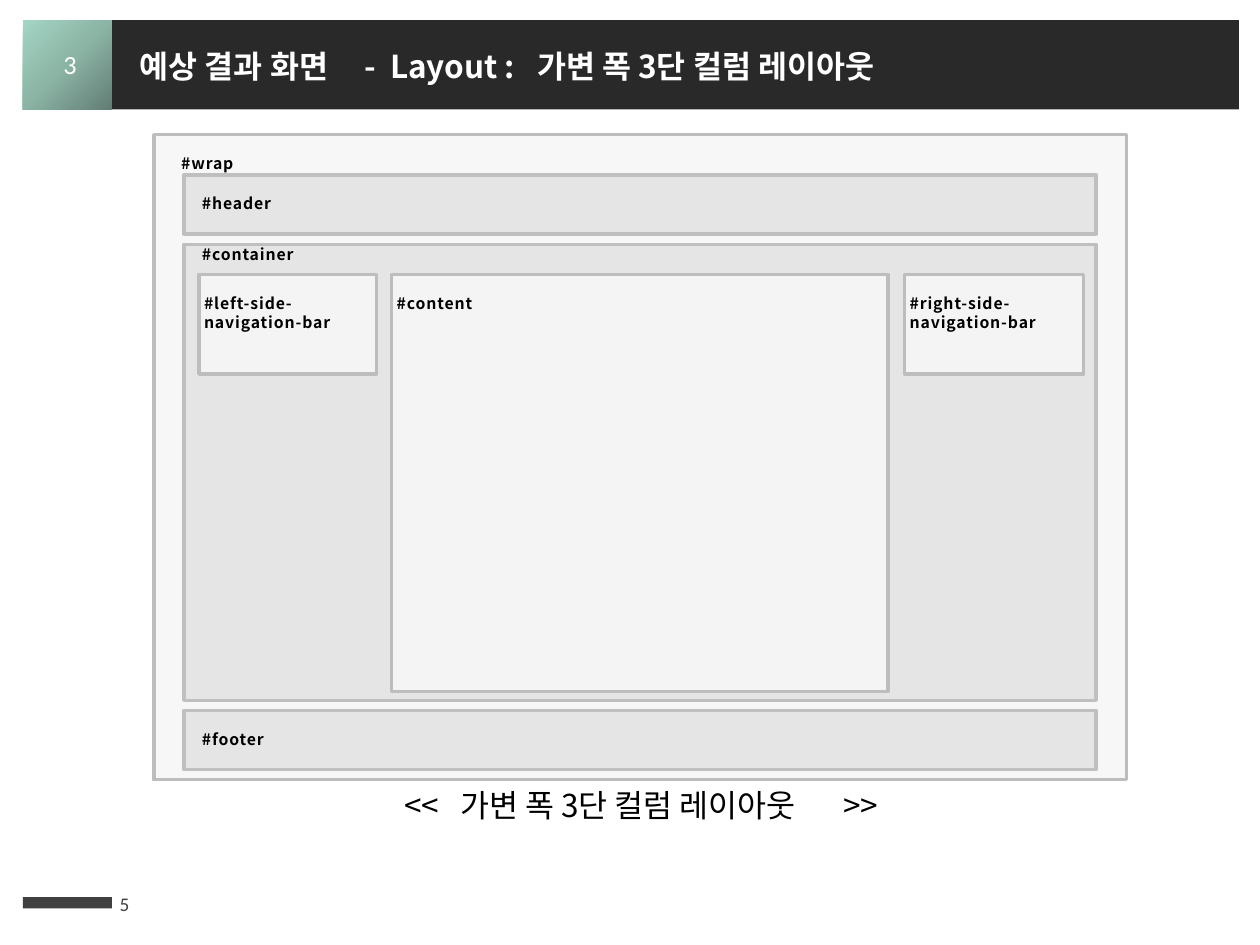
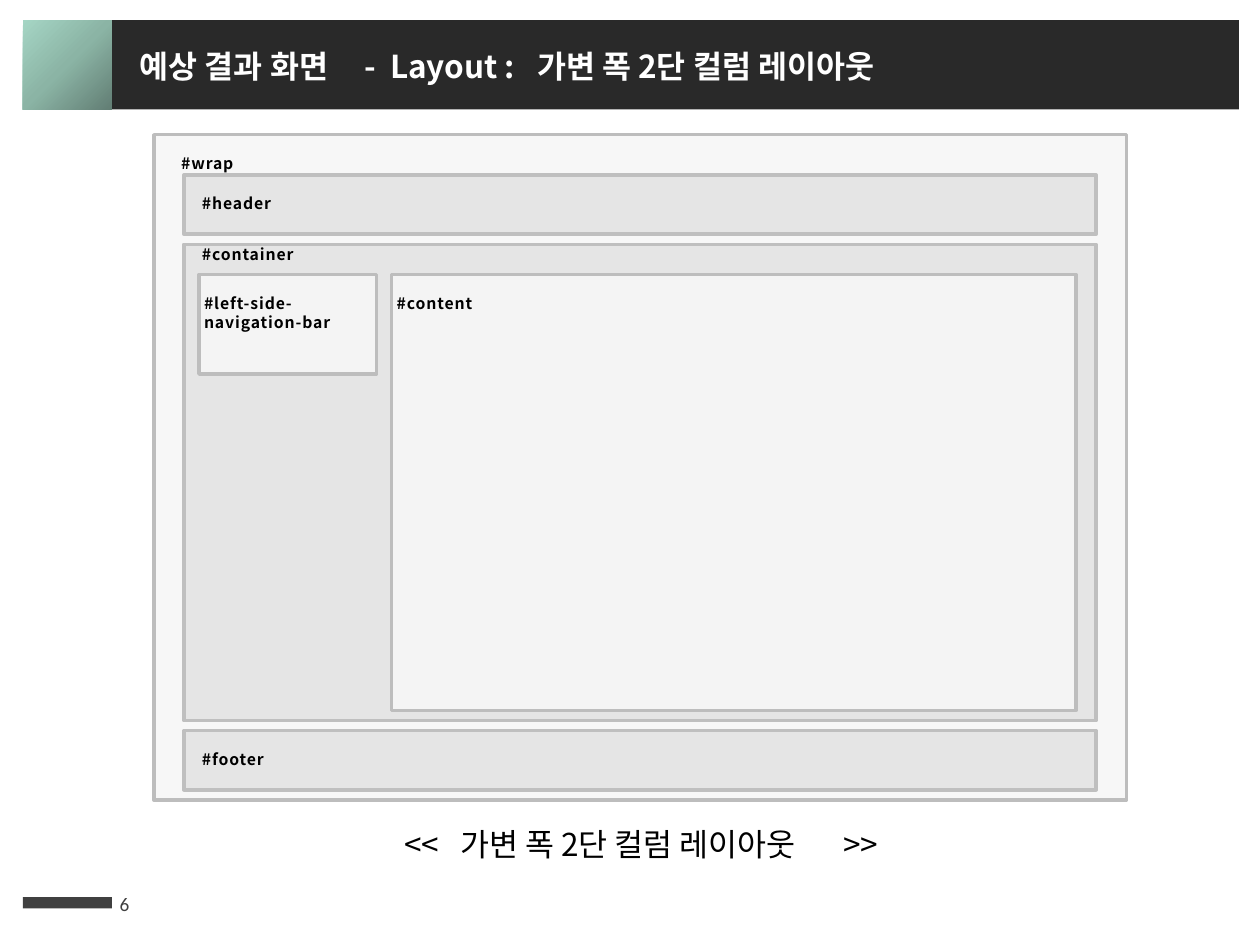
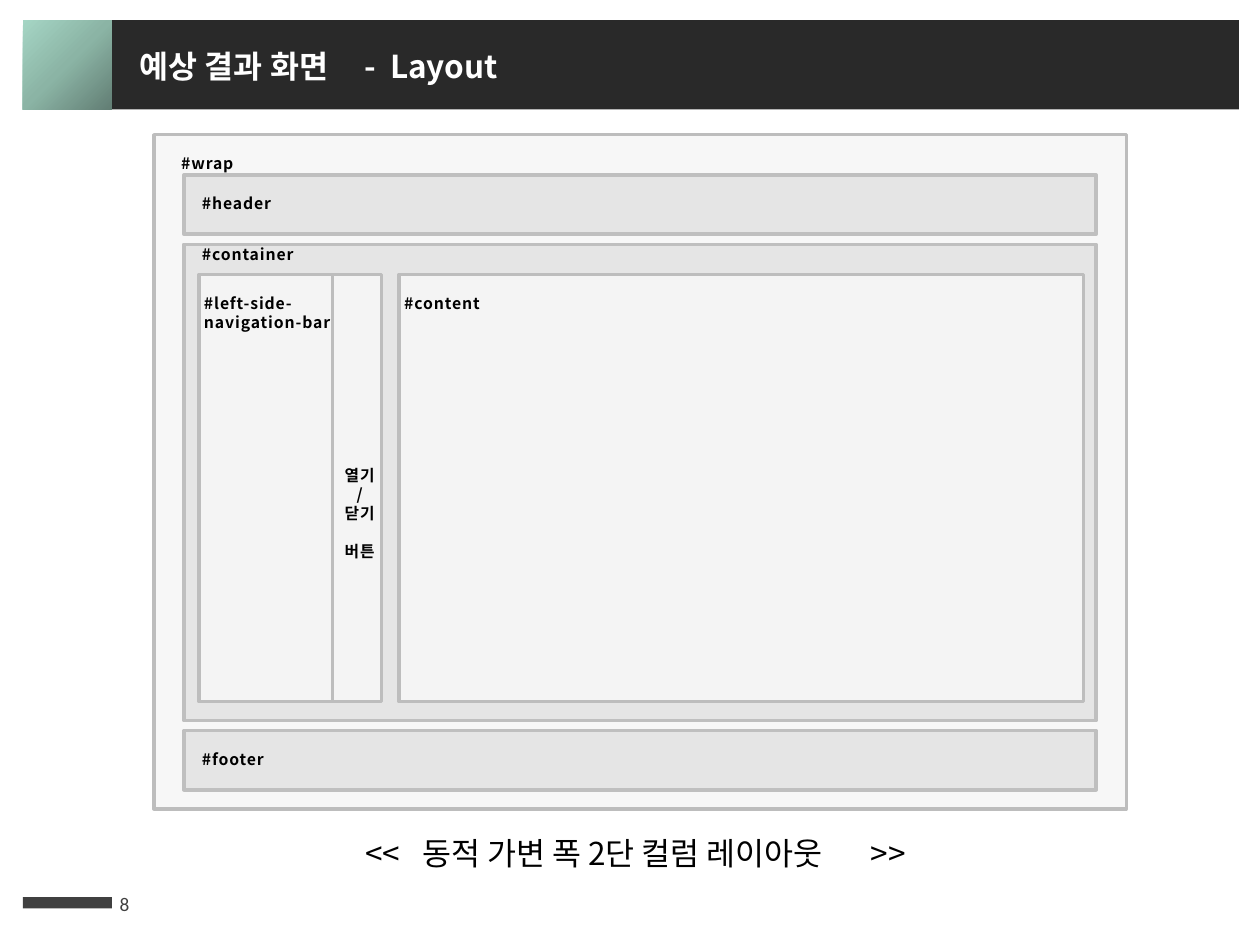
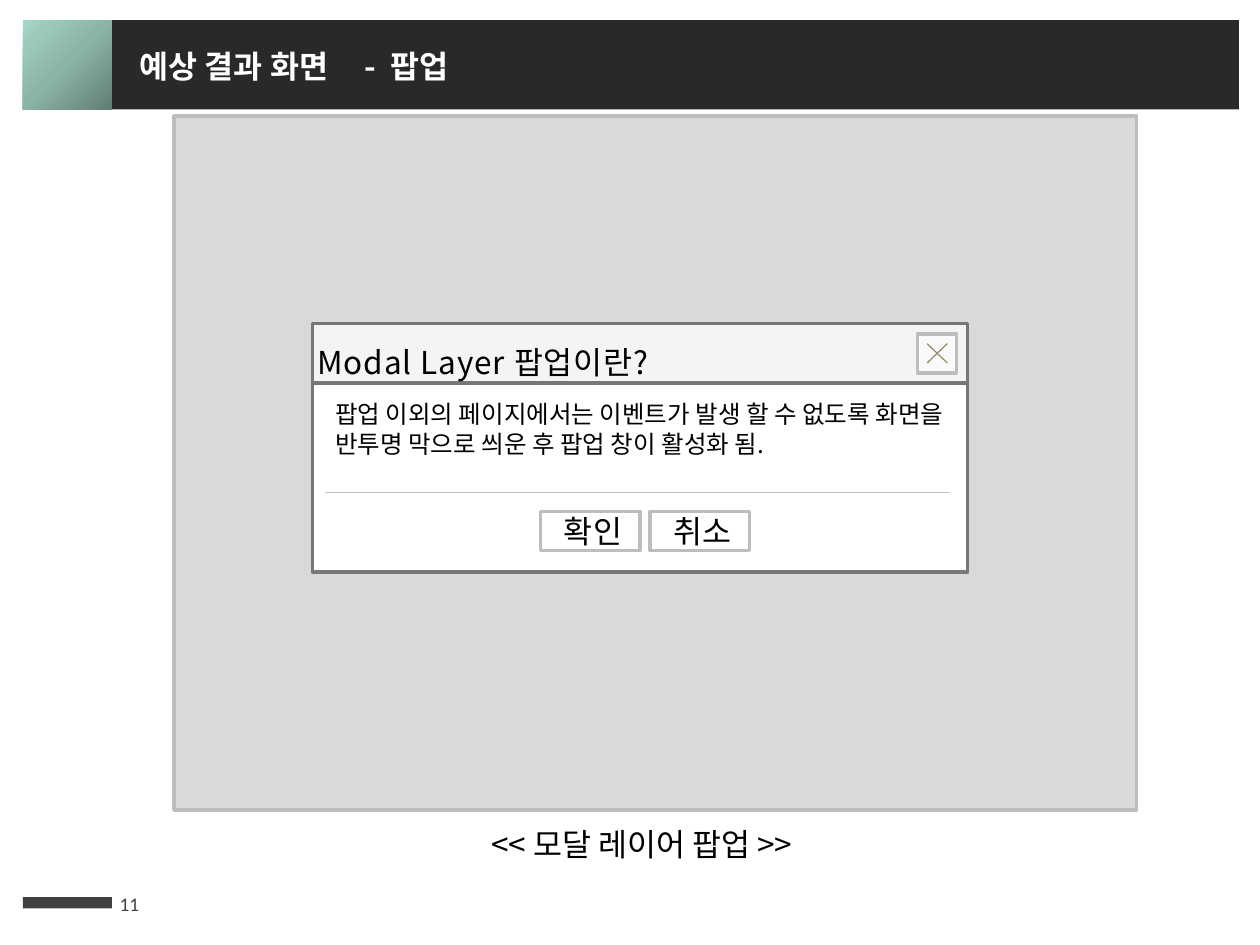
from collections import namedtuple
from dataclasses import dataclass

from lxml.etree import SubElement
from pptx import Presentation
from pptx.dml.color import RGBColor
from pptx.enum.shapes import MSO_CONNECTOR, MSO_SHAPE
from pptx.enum.text import MSO_ANCHOR as Anchor, MSO_AUTO_SIZE as AutoSize, PP_ALIGN as Align
from pptx.oxml import parse_xml
from pptx.oxml.ns import nsdecls, qn
from pptx.util import Pt

Box = namedtuple("Box", "left top width height")
Panel = namedtuple("Panel", "lines gap width height kind", defaults=["panel"])


@dataclass(frozen=True)
class Theme:
    korean: str = "Noto Sans CJK KR"
    latin: str = "Calibri"
    band: str = "292929"
    ink: str = "000000"
    white: str = "FFFFFF"
    footer: str = "404040"
    wrap: str = "F7F7F7"
    region: str = "E5E5E5"
    edge: str = "BDBDBD"
    region_edge: str = "BFBFBF"
    overlay: str = "D9D9D9"
    dialog_edge: str = "777777"
    dialog_head: str = "F4F4F4"
    cross: str = "988E74"
    badge: tuple = ((0, "627E74"), (50, "8BB4A5"), (100, "A5D5C4"))
    title_size: float = 18
    body_size: float = 14
    badge_size: float = 15
    number_size: float = 11
    label_size: float = 9
    label_pitch: float = 10.9
    tracking: float = 0.5
    border: float = 2
    hairline: float = 0.75
    panel_opacity: int = 60


THEME = Theme()
BADGE = Box(13, 11.5, 51, 51)
TITLE_STOPS = (128.5, 143, 227)
TEXT_INSETS = (7.2, 3.6, 7.2, 3.6)


def place(shape, box):
    shape.left, shape.top, shape.width, shape.height = (Pt(v) for v in box)


def add_span(para, text, size, color=THEME.ink, font=THEME.korean, bold=False, tracking=0):
    span = para.add_run()
    span.text = text
    span.font.size, span.font.bold, span.font.name = Pt(size), bold, font
    span.font.color.rgb = RGBColor.from_string(color)
    props = span.font._element
    SubElement(props, qn("a:ea")).set("typeface", font)
    if tracking:
        props.set("spc", str(round(tracking * 100)))


def set_tab_stops(para, stops):
    tabs = SubElement(para._p.get_or_add_pPr(), qn("a:tabLst"))
    for stop in stops:
        SubElement(tabs, qn("a:tab"), pos=str(Pt(stop)), algn="l")


def prepare_frame(shape, insets=TEXT_INSETS, anchor=Anchor.TOP):
    frame = shape.text_frame
    frame.word_wrap, frame.auto_size, frame.vertical_anchor = True, AutoSize.NONE, anchor
    frame.margin_left, frame.margin_top, frame.margin_right, frame.margin_bottom = (
        Pt(v) for v in insets)
    return frame


def add_rect(page, box, fill, edge=None, opacity=100):
    shape = page.shapes.add_shape(MSO_SHAPE.RECTANGLE, *(Pt(v) for v in box))
    shape.shadow.inherit = False
    shape.fill.solid()
    shape.fill.fore_color.rgb = RGBColor.from_string(fill)
    if opacity < 100:
        color = shape.fill._xPr.find(qn("a:solidFill"))[0]
        SubElement(color, qn("a:alpha")).set("val", str(opacity * 1000))
    if edge:
        shape.line.color.rgb = RGBColor.from_string(edge)
        shape.line.width = Pt(THEME.border)
    else:
        shape.line.fill.background()
    return shape


def add_rule(page, x1, y1, x2, y2, color):
    rule = page.shapes.add_connector(MSO_CONNECTOR.STRAIGHT, Pt(x1), Pt(y1), Pt(x2), Pt(y2))
    rule.line.color.rgb = RGBColor.from_string(color)
    rule.line.width = Pt(THEME.hairline)
    SubElement(rule._element.spPr, qn("a:effectLst"))


def add_text(page, box, text, size, stops=(), align=Align.LEFT, anchor=Anchor.TOP, **style):
    shape = page.shapes.add_textbox(*(Pt(v) for v in box))
    para = prepare_frame(shape, anchor=anchor).paragraphs[0]
    para.alignment = align
    add_span(para, text, size, **style)
    if stops:
        set_tab_stops(para, stops)


def add_label(shape, lines, indent=0, drop=THEME.label_pitch, align=Align.LEFT, gap_before=None):
    """Write small bold lines, the first one `drop` below the top edge."""
    frame = prepare_frame(shape, (2.9 + indent, drop, 0, 0))
    for index, line in enumerate(lines):
        para = frame.paragraphs[0] if index == 0 else frame.add_paragraph()
        para.alignment = align
        para.line_spacing = Pt(THEME.label_pitch)
        if index == gap_before:
            para.space_before = Pt(THEME.label_pitch)
        add_span(para, line, THEME.label_size, bold=True, tracking=THEME.tracking)


def add_heading(shape, text, align=Align.LEFT, line_spacing=1.0):
    para = prepare_frame(shape, (2.9, 0, 0, 0)).paragraphs[0]
    para.alignment, para.line_spacing = align, line_spacing
    add_span(para, text, THEME.title_size, tracking=THEME.tracking)


def dress_layout(layout, page):
    """Draw the shared bands on a page and move them into its layout."""
    band = add_rect(page, Box(64, BADGE.top, 644, BADGE.height), THEME.band)
    badge = add_rect(page, BADGE, THEME.white)
    footer = add_rect(page, Box(BADGE.left, 512.6, BADGE.width, 6.5), THEME.footer)
    stops = "".join(f'<a:gs pos="{pos * 1000}"><a:srgbClr val="{color}"/></a:gs>'
                    for pos, color in THEME.badge)
    gradient = parse_xml(
        f'<a:gradFill {nsdecls("a")}><a:gsLst>{stops}</a:gsLst><a:path path="circle">'
        '<a:fillToRect l="100000" t="100000"/></a:path></a:gradFill>')
    props = badge._element.spPr
    props.replace(props.find(qn("a:solidFill")), gradient)
    for index, shape in enumerate((band, badge, footer)):
        layout.shapes._spTree.insert(2 + index, shape._element)


def add_page(deck, title, number):
    layout = deck.slide_layouts.get_by_name("Title Only")
    page = deck.slides.add_slide(layout)
    if len(deck.slides) == 1:
        dress_layout(layout, page)
    place(page.shapes.title, Box(72.7, 23, 503, 29))
    para = prepare_frame(page.shapes.title).paragraphs[0]
    para.alignment = Align.LEFT
    add_span(para, title, THEME.title_size, THEME.white, bold=True)
    set_tab_stops(para, TITLE_STOPS)
    add_text(page, Box(61.2, 502, 42.5, 28.8), number, THEME.number_size,
             anchor=Anchor.MIDDLE, color=THEME.footer, font=THEME.latin)
    return page


def add_columns(page, box, panels):
    left = box.left + 8.6
    for panel in panels:
        left += panel.gap
        shape = add_rect(page, Box(left, box.top + 17.3, panel.width, panel.height),
                         THEME.white, THEME.edge, THEME.panel_opacity)
        if panel.kind == "toggle":
            add_label(shape, panel.lines, drop=10 * THEME.label_pitch,
                      align=Align.CENTER, gap_before=3)
        else:
            add_label(shape, panel.lines)
        left += panel.width


def add_wireframe(page, box, container_height, panels):
    wrap = add_rect(page, box, THEME.wrap, THEME.edge)
    add_label(wrap, ["#wrap"], indent=12.7)
    bar_height, gap = 33.9, 5.7
    top = box.top + 23
    for name, height in (("#header", bar_height), ("#container", container_height),
                         ("#footer", bar_height)):
        region = Box(box.left + 17.2, top, 521.3, height)
        shape = add_rect(page, region, THEME.region, THEME.region_edge)
        if name == "#container":
            add_label(shape, [name], indent=7.4, drop=0)
            add_columns(page, region, panels)
        else:
            add_label(shape, [name], indent=7.4)
        top += height + gap


def add_close_button(page, box):
    add_rect(page, box, THEME.white, THEME.edge, THEME.panel_opacity)
    left, top = box.left + 5.6, box.top + 5.6
    right, bottom = left + 11.5, top + 11
    add_rule(page, right, top, left, bottom, THEME.cross)
    add_rule(page, left, top, right, bottom, THEME.cross)


def add_dialog(page, box):
    head_height = 33.9
    body_top = box.top + head_height
    add_rect(page, Box(box.left, body_top, box.width, box.height - head_height),
             THEME.white, THEME.dialog_edge)
    add_text(page, Box(box.left + 5.8, body_top + 5.8, 363, 41),
             "팝업 이외의 페이지에서는 이벤트가 발생 할 수 없도록 화면을 반투명 막으로 씌운 후 "
             "팝업 창이 활성화 됨.", THEME.body_size)
    head = add_rect(page, Box(box.left, box.top, box.width, head_height),
                    THEME.dialog_head, THEME.dialog_edge)
    add_heading(head, "Modal Layer 팝업이란?", line_spacing=1.5)
    add_close_button(page, Box(box.left + 345.6, box.top + 5.8, 22.3, 22.3))
    rule_top = body_top + 62.6
    add_rule(page, box.left + 7.2, rule_top, box.left + 364.3, rule_top, THEME.region_edge)
    for index, (name, opacity) in enumerate((("확인", THEME.panel_opacity), ("취소", 100))):
        button = add_rect(page, Box(box.left + 130.3 + index * 62.6, body_top + 73.4, 56.9, 22.3),
                          THEME.white, THEME.edge, opacity)
        add_heading(button, name, Align.CENTER)


def add_caption(page, left, top, text, stops=()):
    add_text(page, Box(left, top, 340, 29), text, THEME.title_size, stops)


def build_wireframe_page(deck, title, number, wrap_height, container_height, panels, caption):
    page = add_page(deck, title, number)
    add_wireframe(page, Box(87.9, 77, 555.8, wrap_height), container_height, panels)
    add_caption(page, *caption)
    return page


def build_popup_page(deck):
    page = add_page(deck, "예상 결과 화면\t-\t팝업", "11")
    add_rect(page, Box(99.4, 66.2, 550, 396.7), THEME.overlay, THEME.edge)
    add_dialog(page, Box(178.6, 185, 374.4, 141.9))
    add_caption(page, 273.6, 468, "<< 모달 레이어 팝업 >>")


def main():
    deck = Presentation()
    deck.slide_width, deck.slide_height = Pt(720), Pt(540)
    nav = ["#left-side-", "navigation-bar"]
    content = ["#content"]
    side = Panel(nav, 0, 101.5, 56.9)

    first = build_wireframe_page(
        deck, "예상 결과 화면\t-\tLayout :\t가변 폭 3단 컬럼 레이아웃", "5", 368.6, 260.6,
        [side, Panel(content, 8.6, 283.7, 238.3),
         Panel(["#right-side-navigation-bar"], 9.4, 102.2, 56.9)],
        (223.9, 445.7, "<<\t가변 폭 3단 컬럼 레이아웃\t>>", (32, 251)))
    add_text(first, Box(20.2, 23.8, 39.6, 25.2), "3", THEME.badge_size,
             align=Align.CENTER, color=THEME.white, font=THEME.latin)
    build_wireframe_page(
        deck, "예상 결과 화면\t-\tLayout :\t가변 폭 2단 컬럼 레이아웃", "6", 380.2, 272.2,
        [side, Panel(content, 8.6, 391, 249.1)],
        (223.9, 468, "<<\t가변 폭 2단 컬럼 레이아웃\t>>", (32, 251)))
    build_wireframe_page(
        deck, "예상 결과 화면\t-\tLayout", "8", 385.2, 272.2,
        [Panel(nav, 0, 76.3, 244.1),
         Panel(["열기", "/", "닫기", "버튼"], 0, 28.1, 244.1, "toggle"),
         Panel(content, 10, 391, 244.1)],
        (201.6, 473, "<<\t동적 가변 폭 2단 컬럼 레이아웃\t>>", (32.5, 289)))
    build_popup_page(deck)
    deck.save("out.pptx")


if __name__ == "__main__":
    main()
